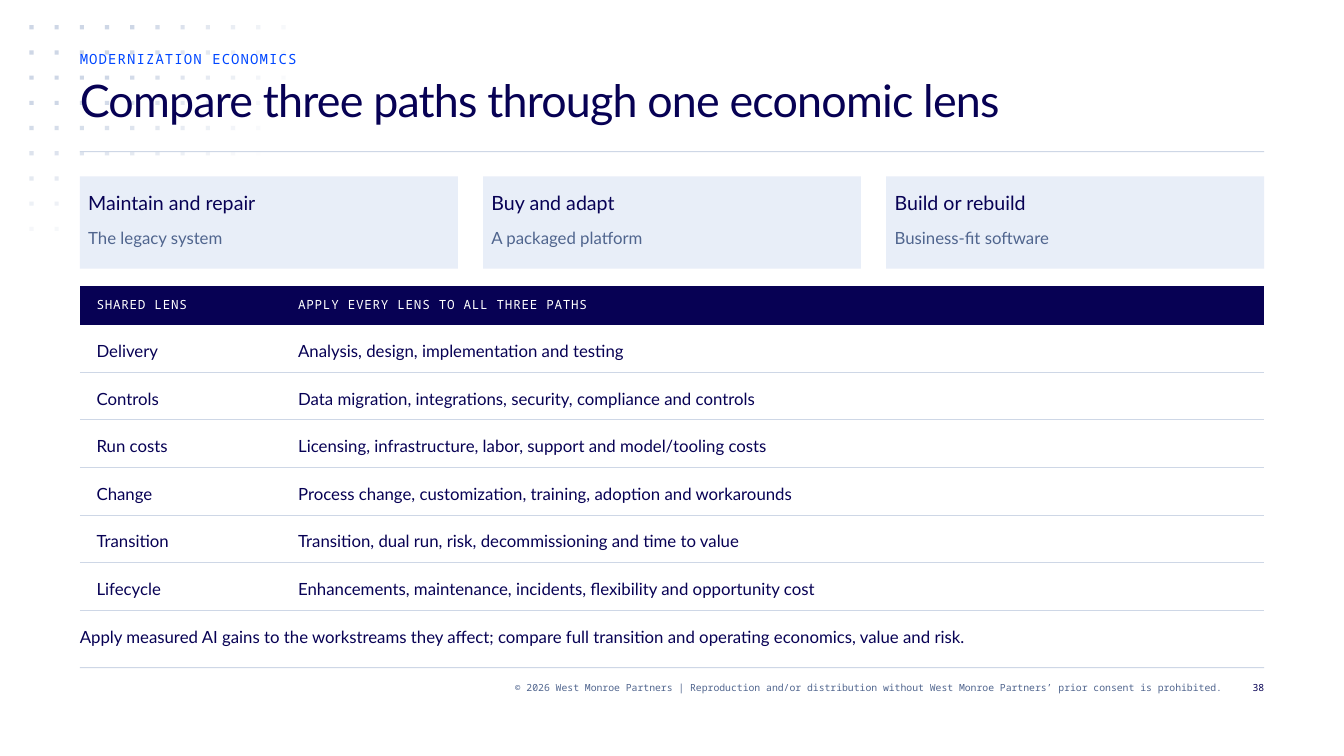
"""Build the slide that compares three modernization paths."""
from math import hypot

from lxml.etree import SubElement
from pptx import Presentation
from pptx.dml.color import RGBColor
from pptx.enum.shapes import MSO_SHAPE
from pptx.enum.text import MSO_ANCHOR, PP_ALIGN
from pptx.oxml import parse_xml
from pptx.oxml.ns import qn
from pptx.util import Pt

LATO, MONO = "Lato", "Noto Sans Mono"
NAVY, BLUE, SLATE = "070154", "0047FF", "50658E"
GRAY, PALE, WHITE = "CED7E6", "E8EEF8", "FFFFFF"
LEFT, WIDE = 57, 846
PLAIN = "{2D5ABB26-0587-4C30-8999-92F81FD0307C}"

LABELS = [
    ("© 2026 West Monroe Partners | Reproduction and/or distribution without "
     "West Monroe Partners’ prior consent is prohibited.",
     (171, 486, 702, 18), (MONO, 7, SLATE, 9), PP_ALIGN.RIGHT),
    ("MODERNIZATION ECONOMICS", (LEFT, 36, WIDE, 12),
     (MONO, 10, BLUE, 12, 0.8), PP_ALIGN.LEFT),
    ("Compare three paths through one economic lens", (LEFT, 54, WIDE, 54),
     (LATO, 32, NAVY, 36, -0.6), PP_ALIGN.LEFT),
    ("38", (879, 486, 24, 18), (MONO, 7, NAVY, 9), PP_ALIGN.RIGHT),
    ("Apply measured AI gains to the workstreams they affect; compare full "
     "transition and operating economics, value and risk.",
     (LEFT, 444, WIDE, 24), (LATO, 12, NAVY, 18), PP_ALIGN.LEFT),
]
CARDS = [
    ("Maintain and repair", "The legacy system"),
    ("Buy and adapt", "A packaged platform"),
    ("Build or rebuild", "Business-fit software"),
]
LENSES = [
    ("SHARED LENS", "APPLY EVERY LENS TO ALL THREE PATHS"),
    ("Delivery", "Analysis, design, implementation and testing"),
    ("Controls",
     "Data migration, integrations, security, compliance and controls"),
    ("Run costs",
     "Licensing, infrastructure, labor, support and model/tooling costs"),
    ("Change",
     "Process change, customization, training, adoption and workarounds"),
    ("Transition",
     "Transition, dual run, risk, decommissioning and time to value"),
    ("Lifecycle",
     "Enhancements, maintenance, incidents, flexibility and opportunity cost"),
]


def paint(fill, color):
    fill.solid()
    fill.fore_color.rgb = RGBColor.from_string(color)


def write(para, text, font, size, color, line, gap=0):
    para.line_spacing = Pt(line)
    run = para.add_run()
    run.text = text
    run.font.name, run.font.size = font, Pt(size)
    paint(run.font.fill, color)
    if gap:
        run._r.get_or_add_rPr().set("spc", str(round(gap * 100)))


def pad(frame, side, top):
    frame.word_wrap = True
    frame.margin_left = frame.margin_right = Pt(side)
    frame.margin_top = frame.margin_bottom = Pt(top)


def block(slide, box, color, alpha=100):
    shape = slide.shapes.add_shape(MSO_SHAPE.RECTANGLE, *map(Pt, box))
    shape.shadow.inherit = False
    paint(shape.fill, color)
    shape.line.fill.background()
    if alpha < 100:
        tint = shape.fill._xPr.find(".//" + qn("a:srgbClr"))
        SubElement(tint, qn("a:alpha"), val=str(round(alpha * 1000)))
    return shape


def dots(slide):
    for col in range(11):
        for row in range(9 if col < 2 else 6):
            alpha = 153 * (1 - hypot(col / 11.07, row / 9.07))
            if alpha > 0:
                box = 21 + 18 * col, 18 + 18 * row, 3, 3
                block(slide, box, GRAY, alpha)


def label(slide, text, box, style, align):
    frame = slide.shapes.add_textbox(*map(Pt, box)).text_frame
    pad(frame, 0, 0)
    para = frame.paragraphs[0]
    para.alignment = align
    write(para, text, *style)


def card(slide, num, head, note):
    frame = block(slide, (LEFT + 288 * num, 126, 270, 66), PALE).text_frame
    pad(frame, 6, 6)
    frame.vertical_anchor = MSO_ANCHOR.TOP
    first, second = frame.paragraphs[0], frame.add_paragraph()
    first.alignment = second.alignment = PP_ALIGN.LEFT
    second.space_before = Pt(6)
    write(first, head, LATO, 14, NAVY, 21)
    write(second, note, LATO, 12, SLATE, 18)


def rule(cell):
    cell._tc.get_or_add_tcPr().insert(0, parse_xml(
        '<a:lnB xmlns:a="http://schemas.openxmlformats.org/drawingml/2006/main"'
        f' w="{Pt(0.75)}"><a:solidFill><a:srgbClr val="{GRAY}"/></a:solidFill>'
        '</a:lnB>'))


def grid(slide):
    box = map(Pt, (LEFT, 204, WIDE, 232))
    table = slide.shapes.add_table(len(LENSES), 2, *box).table
    table._tbl.tblPr.find(qn("a:tableStyleId")).text = PLAIN
    table.horz_banding = False
    for col, width in zip(table.columns, (144, 702)):
        col.width = Pt(width)
    for num, texts in enumerate(LENSES):
        table.rows[num].height = Pt(34 if num else 28)
        style = (LATO, 12, NAVY, 18) if num else (MONO, 9, WHITE, 12, 0.5)
        for col, text in enumerate(texts):
            cell = table.cell(num, col)
            cell.margin_left = cell.margin_right = Pt(12)
            cell.margin_top = cell.margin_bottom = 0
            cell.vertical_anchor = MSO_ANCHOR.MIDDLE
            paint(cell.fill, WHITE if num else NAVY)
            write(cell.text_frame.paragraphs[0], text, *style)
            if num:
                rule(cell)


def main():
    deck = Presentation()
    deck.slide_width, deck.slide_height = Pt(960), Pt(540)
    slide = deck.slides.add_slide(deck.slide_layouts[6])
    dots(slide)
    for top in (108, 476.5):
        block(slide, (LEFT, top, WIDE, 0.75), GRAY)
    for item in LABELS:
        label(slide, *item)
    grid(slide)
    for num, texts in enumerate(CARDS):
        card(slide, num, *texts)
    deck.save("out.pptx")


if __name__ == "__main__":
    main()
